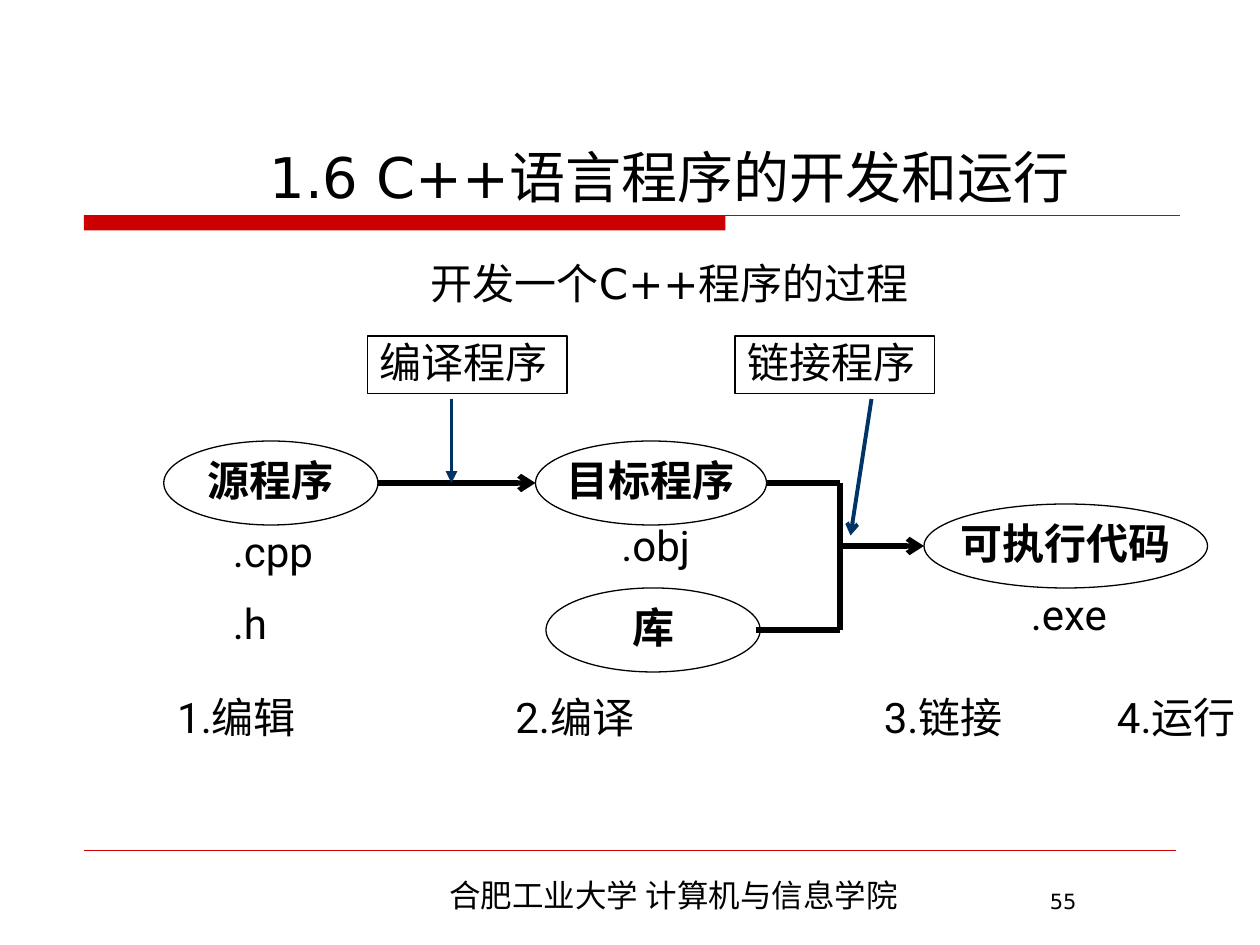
from dataclasses import dataclass
from typing import NamedTuple

from pptx import Presentation
from pptx.dml.color import RGBColor
from pptx.enum.shapes import MSO_CONNECTOR, MSO_SHAPE
from pptx.enum.text import MSO_ANCHOR, PP_ALIGN
from pptx.oxml.ns import qn
from pptx.util import Inches, Pt
from lxml.etree import SubElement


@dataclass(frozen=True)
class Theme:
    ink: str = "000000"
    red: str = "CC0000"
    blue: str = "003366"
    sans: str = "DejaVu Sans"
    main: str = "Roboto"
    east: str = "Noto Sans CJK SC"
    head: int = 32
    body: int = 24
    foot: int = 18
    small: int = 12
    thin: float = 0.75
    bold: float = 3


class Area(NamedTuple):
    col: float
    row: float
    wide: float
    high: float


class Line(NamedTuple):
    start: tuple
    end: tuple
    tint: str
    size: float
    tip: str = ""


class Part(NamedTuple):
    text: str
    size: int
    face: str
    bold: bool = False


class Node(NamedTuple):
    text: str
    area: Area


LOOK = Theme()
COLS, ROWS = 120, 90
deck = Presentation()
deck.slide_width, deck.slide_height = Inches(10), Inches(7.5)
slide = deck.slides.add_slide(deck.slide_layouts[6])
shapes = slide.shapes


def across(col: float) -> int:
    return round(deck.slide_width * col / COLS)


def down(row: float) -> int:
    return round(deck.slide_height * row / ROWS)


def place(area: Area) -> tuple:
    return across(area.col), down(area.row), across(area.wide), down(area.high)


def write(shape, parts: list, align=PP_ALIGN.LEFT, anchor=MSO_ANCHOR.TOP,
          gap: float = 15, space: float = 0.9, wrap: bool = True) -> None:
    frame = shape.text_frame
    frame.word_wrap = wrap
    frame.vertical_anchor = anchor
    for spot, part in enumerate(parts):
        para = frame.add_paragraph() if spot else frame.paragraphs[0]
        para.alignment = align
        para.line_spacing = space
        if spot:
            para.space_before = Pt(gap)
        run = para.add_run()
        run.text = part.text
        font = run.font
        font.size, font.name, font.bold = Pt(part.size), part.face, part.bold
        font.color.rgb = RGBColor.from_string(LOOK.ink)
        SubElement(font._element, qn("a:ea")).set("typeface", LOOK.east)


def label(area: Area, parts: list, **style):
    box = shapes.add_textbox(*place(area))
    write(box, parts, **style)
    return box


def frame(node: Node, kind, bold: bool, **style) -> None:
    shape = shapes.add_shape(kind, *place(node.area))
    shape.shadow.inherit = False
    shape.fill.background()
    shape.line.color.rgb = RGBColor.from_string(LOOK.ink)
    shape.line.width = Pt(LOOK.thin)
    write(shape, [Part(node.text, LOOK.body, LOOK.main, bold)], **style)


def link(line: Line) -> None:
    (left, top), (right, base) = line.start, line.end
    wire = shapes.add_connector(MSO_CONNECTOR.STRAIGHT, across(left), down(top),
                                across(right), down(base))
    wire.line.color.rgb = RGBColor.from_string(line.tint)
    wire.line.width = Pt(line.size)
    if line.tip:
        SubElement(wire.line._get_or_add_ln(), qn("a:tailEnd")).set("type", line.tip)
    SubElement(wire._element.spPr, qn("a:effectLst"))


def tabs(box, stops: list) -> None:
    props = box.text_frame.paragraphs[0]._p.get_or_add_pPr()
    items = SubElement(props, qn("a:tabLst"))
    for stop in stops:
        tab = SubElement(items, qn("a:tab"))
        tab.set("pos", str(across(stop)))
        tab.set("algn", "l")


def main() -> None:
    bar = shapes.add_shape(MSO_SHAPE.RECTANGLE, *place(Area(8, 20.5, 61.1, 1.45)))
    bar.shadow.inherit = False
    bar.fill.solid()
    bar.fill.fore_color.rgb = RGBColor.from_string(LOOK.red)
    bar.line.fill.background()
    link(Line((8, 20.5), (112.4, 20.5), LOOK.red, LOOK.thin))
    link(Line((8, 81), (112, 81), LOOK.red, 0.25))

    label(Area(27.8, 82.8, 72.7, 4.8),
          [Part("合肥工业大学 计算机与信息学院", LOOK.foot, LOOK.east)],
          align=PP_ALIGN.CENTER, space=1)
    label(Area(98.8, 84, 18, 3.5), [Part("55", LOOK.small, LOOK.sans)], space=1)
    label(Area(12.7, 7.2, 102.2, 22.7),
          [Part("1.6 C++语言程序的开发和运行", LOOK.head, LOOK.sans),
           Part("开发一个C++程序的过程", LOOK.body, LOOK.sans)],
          align=PP_ALIGN.CENTER, anchor=MSO_ANCHOR.BOTTOM, gap=27, space=1)

    for node in (Node("源程序", Area(15.6, 42, 20.4, 8)),
                 Node("目标程序", Area(51, 42, 22, 8)),
                 Node("可执行代码", Area(88, 48, 27, 8)),
                 Node("库", Area(52, 56, 20.4, 8))):
        frame(node, MSO_SHAPE.OVAL, True, align=PP_ALIGN.CENTER,
              anchor=MSO_ANCHOR.MIDDLE, wrap=False)
    for node in (Node("编译程序", Area(35, 32, 19, 5.5)),
                 Node("链接程序", Area(70, 32, 19, 5.5))):
        frame(node, MSO_SHAPE.RECTANGLE, False)

    for line in (Line((36, 46), (51, 46), LOOK.ink, LOOK.bold, "arrow"),
                 Line((80, 52), (88, 52), LOOK.ink, LOOK.bold, "arrow"),
                 Line((43, 38), (43, 46), LOOK.blue, 2.25, "triangle"),
                 Line((83, 38), (81, 51), LOOK.blue, 2.25, "arrow"),
                 Line((72, 60), (80, 60), LOOK.ink, LOOK.bold),
                 Line((73, 46), (80, 46), LOOK.ink, LOOK.bold),
                 Line((80, 46), (80, 60), LOOK.ink, LOOK.bold)):
        link(line)

    for names, area in (([".cpp", ".h"], Area(21, 50, 11, 12.4)),
                        ([".obj"], Area(58, 49.4, 10, 5.5)),
                        ([".exe"], Area(97, 56, 10, 9.8))):
        label(area, [Part(name, LOOK.body, LOOK.main) for name in names])
    steps = label(Area(15.7, 65.8, 104.3, 5.5),
                  [Part("1.编辑\t2.编译\t3.链接\t4.运行", LOOK.body, LOOK.main)])
    steps.text_frame.margin_right = 0
    tabs(steps, [32.2, 67.3, 89.5])
    deck.save("out.pptx")


if __name__ == "__main__":
    main()
